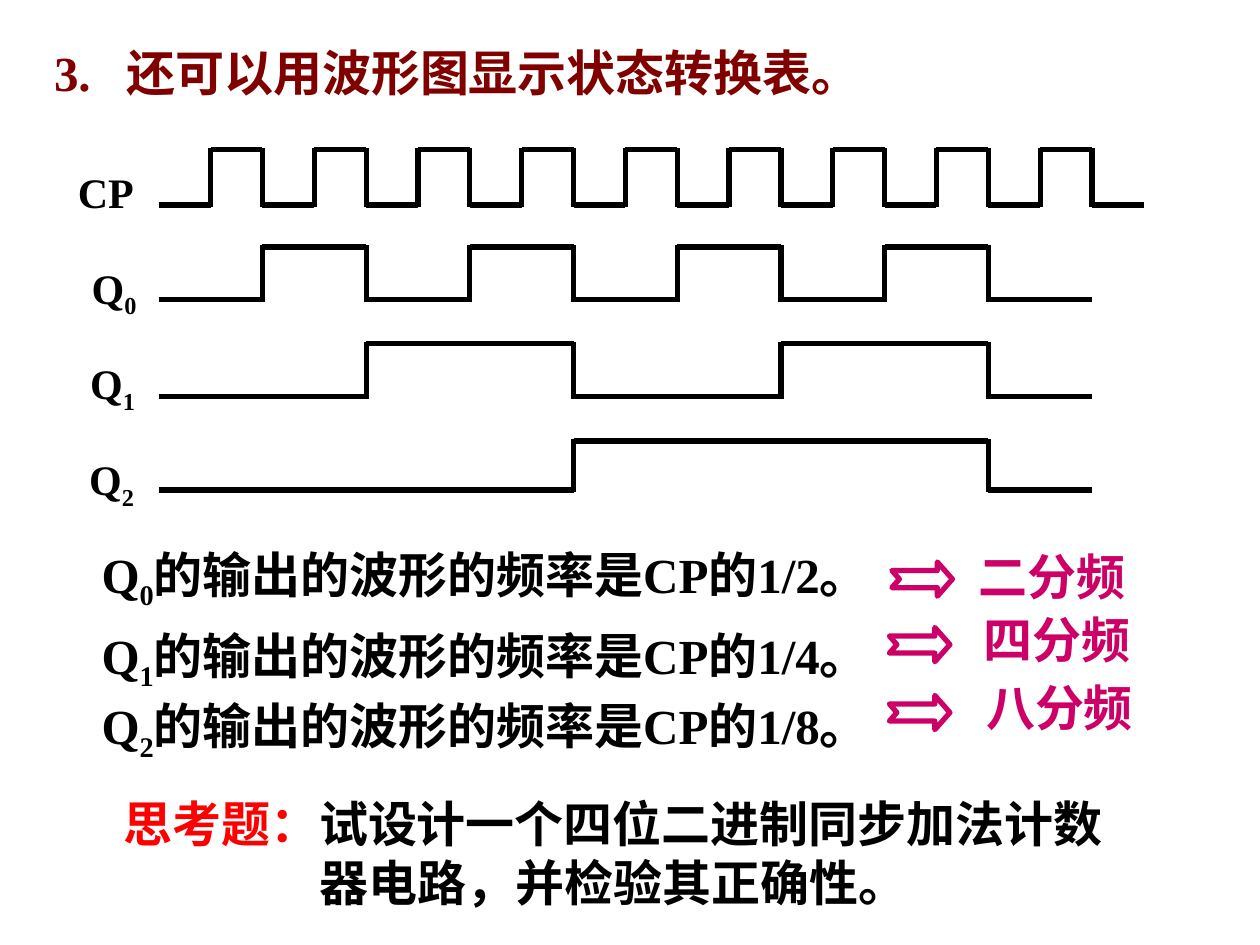
from lxml.etree import SubElement
from pptx import Presentation
from pptx.dml.color import RGBColor
from pptx.enum.shapes import MSO_CONNECTOR as Connector, MSO_SHAPE as Shape
from pptx.oxml.ns import qn
from pptx.util import Cm, Pt

FONT = "Times New Roman"
BLACK, MAROON, RED, MAGENTA = "000000", "800000", "FF0000", "CC0066"
WAVE_LEFT, WAVE_RIGHT, HALF_CYCLES = 3.2, 23.06, 19
OVERLAP = 0.04


def color(hex_string):
    """Turn a hex string into a colour."""
    return RGBColor.from_string(hex_string)


def add_line(slide, x1, y1, x2, y2):
    """Draw one straight black stroke without shadow."""
    line = slide.shapes.add_connector(Connector.STRAIGHT, Cm(x1), Cm(y1), Cm(x2), Cm(y2))
    line.line.color.rgb = color(BLACK)
    line.line.width = Pt(3)
    SubElement(line._element.spPr, qn("a:effectLst"))


def add_waveform(slide, high, low, period, end):
    """Draw a square wave that starts low and toggles every period half cycles."""
    step = (WAVE_RIGHT - WAVE_LEFT) / HALF_CYCLES
    for index, start in enumerate(range(0, end, period)):
        left = WAVE_LEFT + start * step
        right = WAVE_LEFT + min(start + period, end) * step
        level = high if index % 2 else low
        add_line(slide, left, level, right, level)
        if index:
            add_line(slide, left, high - OVERLAP, left, low + OVERLAP)


def add_text_box(slide, left, top, width, height):
    """Add a wrapping text box and return its text frame."""
    frame = slide.shapes.add_textbox(Cm(left), Cm(top), Cm(width), Cm(height)).text_frame
    frame.word_wrap = True
    return frame


def add_run(paragraph, text, size, hex_string=BLACK, subscript=False):
    """Append one bold run to a paragraph."""
    run = paragraph.add_run()
    run.text = text
    font = run.font
    font.name, font.size, font.bold = FONT, Pt(size), True
    font.color.rgb = color(hex_string)
    if subscript:
        font._element.set("baseline", "-25000")


def set_hanging(paragraph, indent):
    """Give a paragraph a hanging indent."""
    properties = paragraph._p.get_or_add_pPr()
    properties.set("marL", str(Cm(indent)))
    properties.set("indent", str(-Cm(indent)))


def add_signal(slide, name, digit, label_left, label_top, high, low, period, end):
    """Add a signal label with its waveform."""
    paragraph = add_text_box(slide, label_left, label_top, 1.8, 1.4).paragraphs[0]
    add_run(paragraph, name, 24)
    if digit:
        add_run(paragraph, digit, 24, subscript=True)
    add_waveform(slide, high, low, period, end)


def add_frequencies(slide):
    """List the frequency of each output relative to the clock."""
    frame = add_text_box(slide, 1.8, 10.85, 17.4, 4.47)
    for index, ratio in enumerate(("1/2", "1/4", "1/8")):
        paragraph = frame.add_paragraph() if index else frame.paragraphs[0]
        if index:
            paragraph.space_before = Pt(17.5)
            paragraph.line_spacing = 0.6
        add_run(paragraph, "Q", 28)
        add_run(paragraph, str(index), 28, subscript=True)
        add_run(paragraph, f"的输出的波形的频率是CP的{ratio}。", 28)


def add_division(slide, text, arrow_left, arrow_top, text_left, text_top):
    """Add an outlined arrow that points to a division name."""
    arrow = slide.shapes.add_shape(
        Shape.NOTCHED_RIGHT_ARROW, Cm(arrow_left), Cm(arrow_top), Cm(1.22), Cm(0.69))
    arrow.adjustments[1] = 0.44
    arrow.shadow.inherit = False
    arrow.fill.background()
    arrow.line.color.rgb = color(MAGENTA)
    arrow.line.width = Pt(3)
    frame = add_text_box(slide, text_left, text_top, 4.06, 1.45)
    add_run(frame.paragraphs[0], text, 28, MAGENTA)


def main():
    """Build the slide and save it."""
    presentation = Presentation()
    presentation.slide_width, presentation.slide_height = Cm(25.4), Cm(19.05)
    slide = presentation.slides.add_slide(presentation.slide_layouts[6])

    title = add_text_box(slide, 0.84, 0.74, 21.08, 1.45).paragraphs[0]
    set_hanging(title, 1.46)
    add_run(title, "3.\t还可以用波形图显示状态转换表。", 28, MAROON)

    for signal in (
        ("CP", "", 1.32, 3.23, 3.02, 4.13, 1, 19),
        ("Q", "0", 1.6, 5.16, 4.98, 6.04, 2, 18),
        ("Q", "1", 1.57, 7.09, 6.93, 8, 4, 18),
        ("Q", "2", 1.55, 9.02, 8.89, 9.88, 8, 18),
    ):
        add_signal(slide, *signal)

    add_frequencies(slide)
    for division in (
        ("二分频", 17.98, 11.33, 19.48, 10.9),
        ("四分频", 17.93, 12.65, 19.58, 12.17),
        ("八分频", 17.93, 14.02, 19.63, 13.54),
    ):
        add_division(slide, *division)

    question = add_text_box(slide, 2.24, 15.88, 20.88, 2.64).paragraphs[0]
    set_hanging(question, 3.96)
    add_run(question, "思考题：", 28, RED)
    add_run(question, "试设计一个四位二进制同步加法计数器电路，并检验其正确性。", 28)

    presentation.save("out.pptx")


if __name__ == "__main__":
    main()
